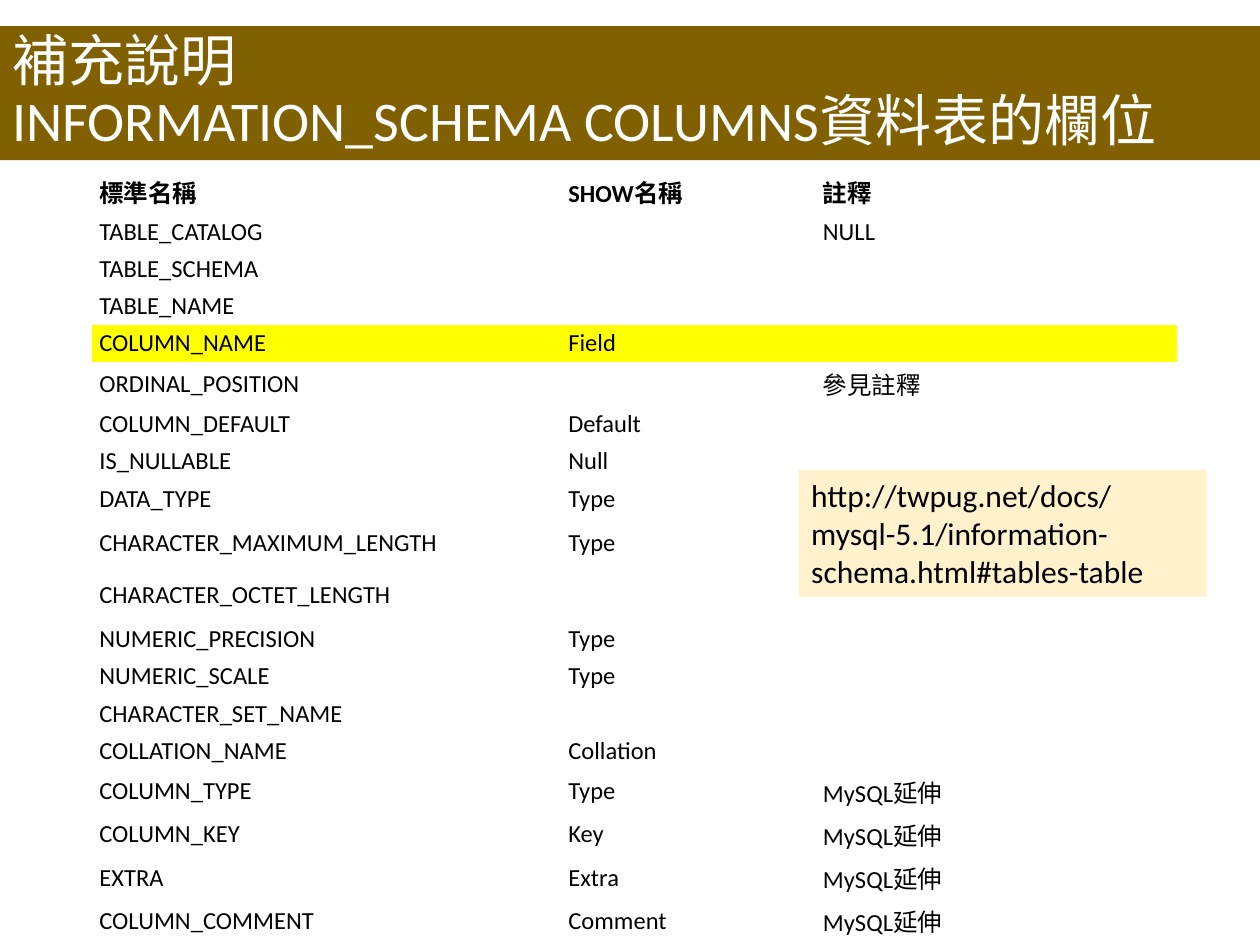
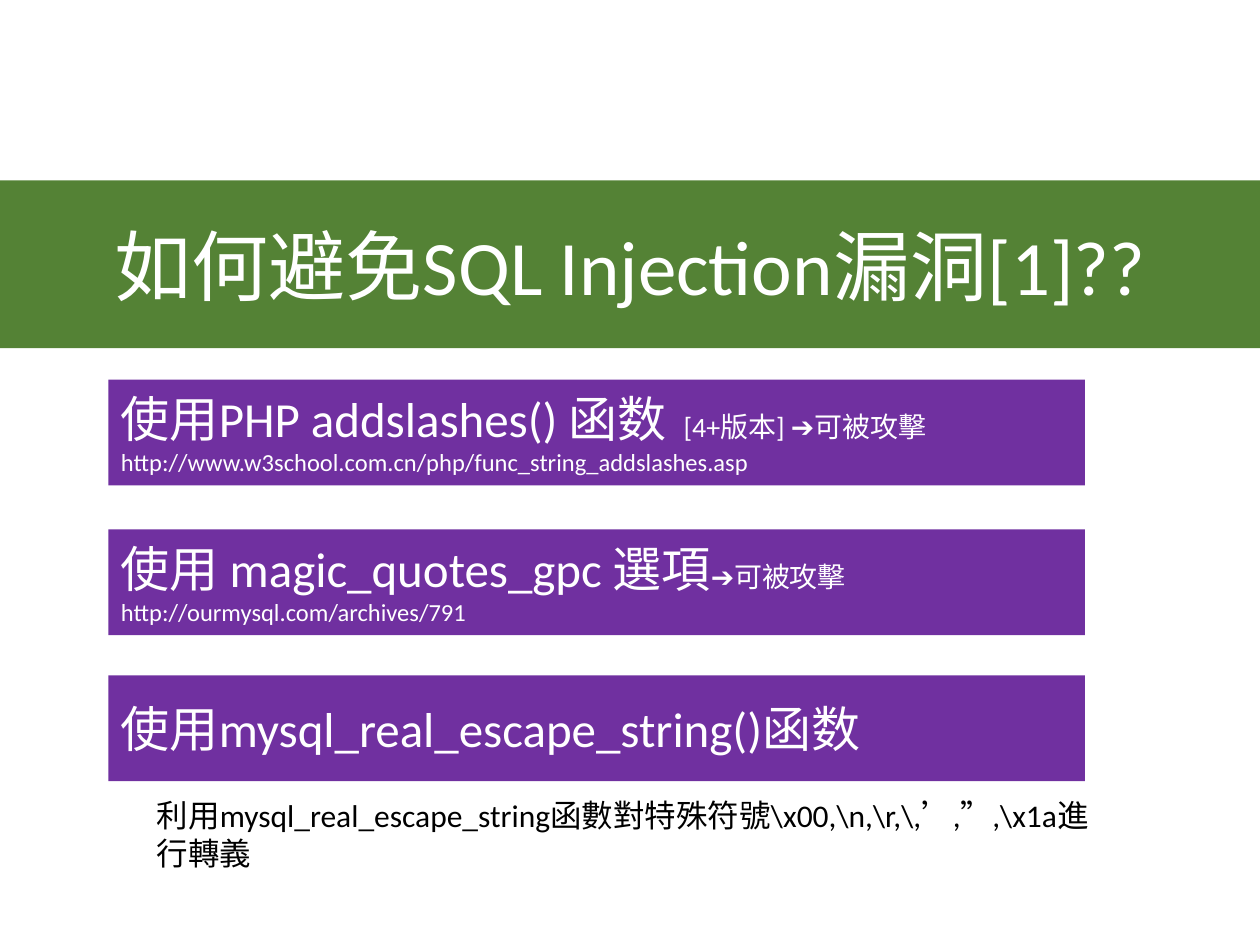
"""Build two slides about column metadata and SQL injection."""
from lxml import etree
from pptx import Presentation
from pptx import util as u
from pptx.dml.color import RGBColor
from pptx.enum import shapes, text
from pptx.oxml import ns

FONT = "Calibri"
BLACK, WHITE = "000000", "FFFFFF"
BROWN, GREEN, PURPLE = "806000", "548235", "7030A0"
CREAM, YELLOW = "FFF2CC", "FFFF00"
PLAIN_TABLE_STYLE = "{2D5ABB26-0587-4C30-8999-92F81FD0307C}"

COLUMNS_TITLE = [[("補充說明\vINFORMATION_SCHEMA COLUMNS資料表的欄位", 32)]]
COLUMNS_SOURCE = [[("http://twpug.net/docs/mysql-5.1/information-schema.html#tables-table", 18)]]
EXTENSION = "MySQL延伸"
COLUMN_ROWS = [
    ("標準名稱", "SHOW名稱", "註釋"),
    ("TABLE_CATALOG", "", "NULL"),
    ("TABLE_SCHEMA", "", ""),
    ("TABLE_NAME", "", ""),
    ("COLUMN_NAME", "Field", ""),
    ("ORDINAL_POSITION", "", "參見註釋"),
    ("COLUMN_DEFAULT", "Default", ""),
    ("IS_NULLABLE", "Null", ""),
    ("DATA_TYPE", "Type", ""),
    ("CHARACTER_MAXIMUM_LENGTH", "Type", ""),
    ("CHARACTER_OCTET_LENGTH", "", ""),
    ("NUMERIC_PRECISION", "Type", ""),
    ("NUMERIC_SCALE", "Type", ""),
    ("CHARACTER_SET_NAME", "", ""),
    ("COLLATION_NAME", "Collation", ""),
    ("COLUMN_TYPE", "Type", EXTENSION),
    ("COLUMN_KEY", "Key", EXTENSION),
    ("EXTRA", "Extra", EXTENSION),
    ("COLUMN_COMMENT", "Comment", EXTENSION),
]
COLUMN_WIDTHS = (268, 145.5, 206.5)
ROW_HEIGHT = 16.5
SPECIAL_HEIGHTS = {
    "TABLE_CATALOG": 20,
    "CHARACTER_MAXIMUM_LENGTH": 29.5,
    "CHARACTER_OCTET_LENGTH": 29.5,
}
HIGHLIGHTED = "COLUMN_NAME"

INJECTION_TITLE = [[("如何避免SQL Injection漏洞[1]??", 44)]]
DEFENCES = [
    (217, [[("使用PHP addslashes() 函数 ", 28), (" [4+版本] ➔可被攻擊", 16)],
           [("http://www.w3school.com.cn/php/func_string_addslashes.asp", 14)]]),
    (302.5, [[("使用 magic_quotes_gpc 選項", 28), ("➔可被攻擊", 16)],
             [("http://ourmysql.com/archives/791", 14)]]),
    (386, [[("使用mysql_real_escape_string()函数", 28)]]),
]
ESCAPE_NOTE = [[("利用mysql_real_escape_string函數對特殊符號\\x00,\\n,\\r,\\,’,”,\\x1a進行轉義", 18)]]


def rgb(value):
    """Turn a hex string into a colour."""
    return RGBColor.from_string(value)


def add_text(paragraph, content, size, color, bold=False):
    """Add runs to a paragraph, with a line break at each vertical tab."""
    for index, line in enumerate(content.split("\v")):
        if index:
            paragraph.add_line_break()
        run = paragraph.add_run()
        run.text = line
        run.font.name = FONT
        run.font.size = u.Pt(size)
        run.font.bold = bold
        run.font.color.rgb = rgb(color)


def add_box(slide, box, paragraphs, color, fill=None, align=text.PP_ALIGN.LEFT,
            anchor=text.MSO_ANCHOR.MIDDLE, spacing=None):
    """Add a rectangle holding text, filled when a fill is given."""
    place = [u.Pt(length) for length in box]
    if fill:
        shape = slide.shapes.add_shape(shapes.MSO_SHAPE.RECTANGLE, *place)
        shape.shadow.inherit = False
        shape.fill.solid()
        shape.fill.fore_color.rgb = rgb(fill)
        shape.line.fill.background()
    else:
        shape = slide.shapes.add_textbox(*place)
    frame = shape.text_frame
    frame.word_wrap = True
    frame.vertical_anchor = anchor
    for index, runs in enumerate(paragraphs):
        paragraph = frame.add_paragraph() if index else frame.paragraphs[0]
        paragraph.alignment = align
        if spacing:
            paragraph.line_spacing = spacing
        for content, size in runs:
            add_text(paragraph, content, size, color)


def fill_cell(cell, content, bold, fill):
    """Write one table cell."""
    cell.margin_left = cell.margin_right = u.Pt(4.3)
    cell.margin_top = cell.margin_bottom = u.Pt(2.15)
    cell.vertical_anchor = text.MSO_ANCHOR.MIDDLE
    if fill:
        cell.fill.solid()
        cell.fill.fore_color.rgb = rgb(fill)
    else:
        cell.fill.background()
    paragraph = cell.text_frame.paragraphs[0]
    if content:
        add_text(paragraph, content, 14, BLACK, bold)
    else:
        etree.SubElement(paragraph._p, ns.qn("a:endParaRPr"), sz="1400")


def add_column_table(slide):
    """Add the table of column names."""
    heights = [SPECIAL_HEIGHTS.get(row[0], ROW_HEIGHT) for row in COLUMN_ROWS]
    frame = slide.shapes.add_table(
        len(heights), len(COLUMN_WIDTHS), u.Pt(52.5), u.Pt(97),
        u.Pt(sum(COLUMN_WIDTHS)), u.Pt(sum(heights)))
    table = frame.table
    table._tbl.tblPr.find(ns.qn("a:tableStyleId")).text = PLAIN_TABLE_STYLE
    table.first_row = table.horz_banding = False
    for column, width in zip(table.columns, COLUMN_WIDTHS):
        column.width = u.Pt(width)
    for index, (row, height, values) in enumerate(zip(table.rows, heights, COLUMN_ROWS)):
        row.height = u.Pt(height)
        fill = YELLOW if values[0] == HIGHLIGHTED else None
        for cell, content in zip(row.cells, values):
            fill_cell(cell, content, index == 0, fill)


def main():
    """Build and save the presentation."""
    presentation = Presentation()
    presentation.slide_width, presentation.slide_height = u.Pt(720), u.Pt(540)
    blank = presentation.slide_layouts[6]

    slide = presentation.slides.add_slide(blank)
    add_box(slide, (0, 15, 720, 76.5), COLUMNS_TITLE, WHITE, BROWN, spacing=0.9)
    add_column_table(slide)
    add_box(slide, (456.5, 268.5, 233, 72.5), COLUMNS_SOURCE, BLACK, CREAM,
            anchor=text.MSO_ANCHOR.TOP)

    slide = presentation.slides.add_slide(blank)
    add_box(slide, (0, 103, 720, 96), INJECTION_TITLE, WHITE, GREEN,
            align=text.PP_ALIGN.CENTER)
    for top, paragraphs in DEFENCES:
        add_box(slide, (62, top, 558, 60.5), paragraphs, WHITE, PURPLE)
    add_box(slide, (82.5, 451.5, 552.5, 51), ESCAPE_NOTE, BLACK,
            anchor=text.MSO_ANCHOR.TOP)

    presentation.save("out.pptx")


if __name__ == "__main__":
    main()
